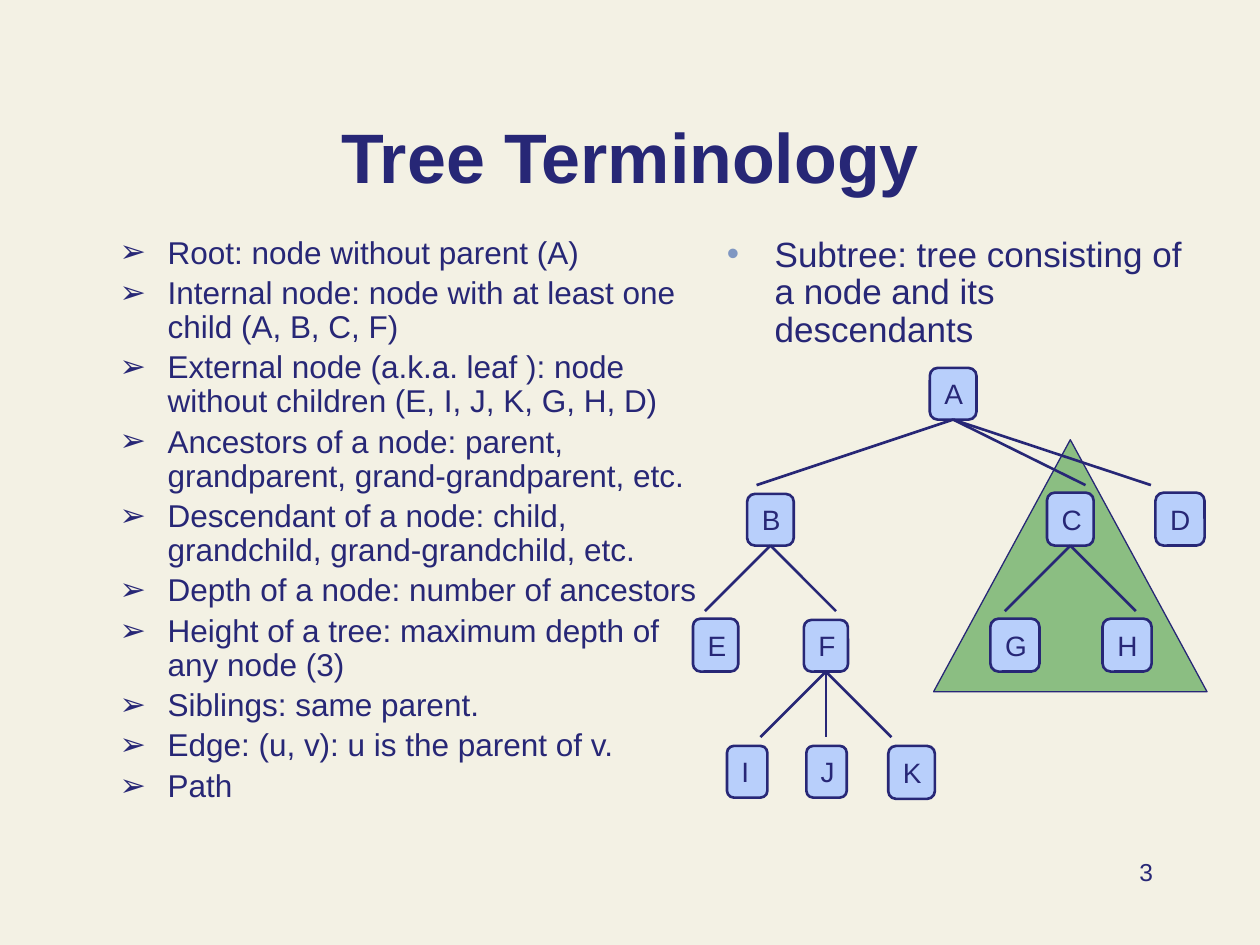
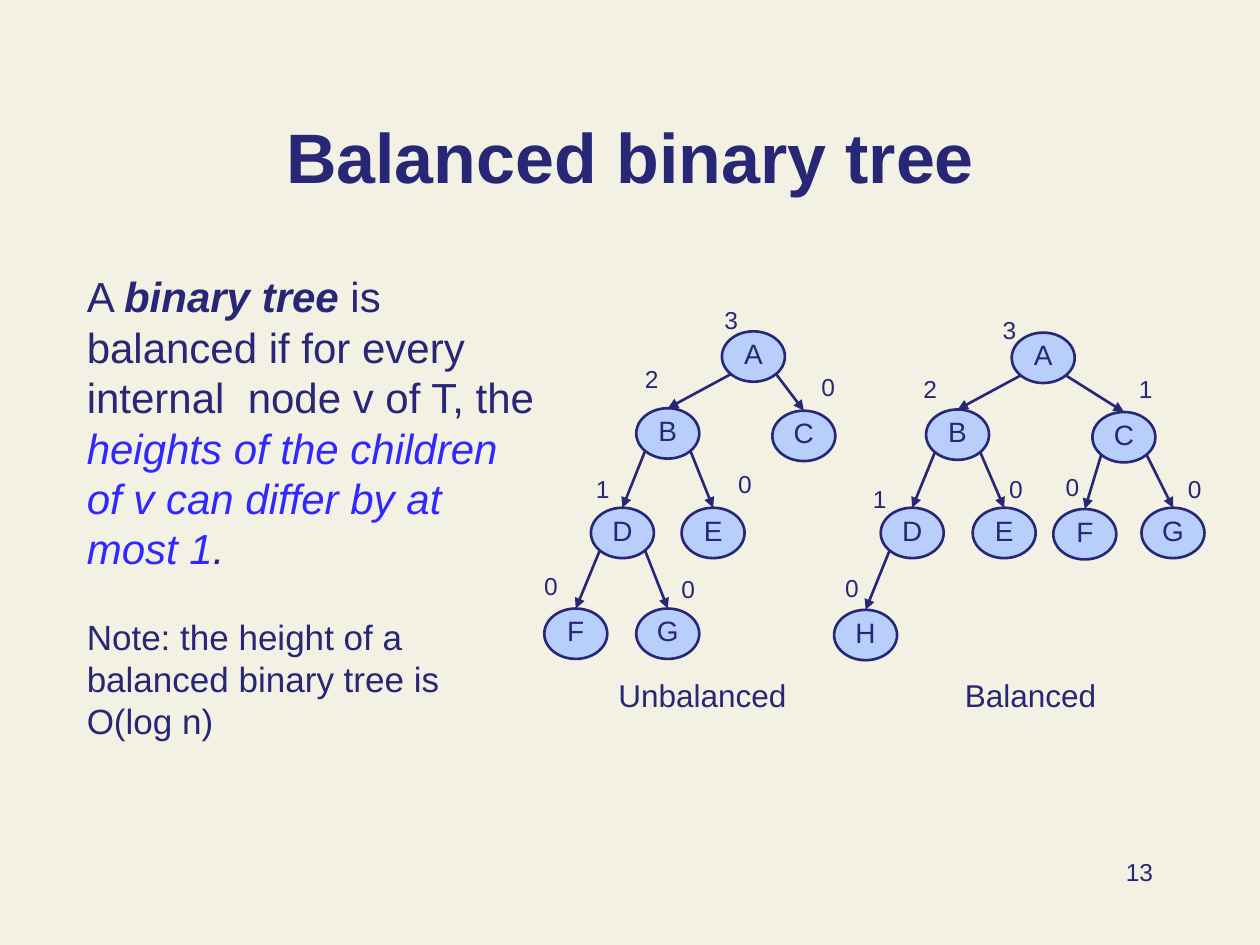
from lxml import etree
from pptx import Presentation
from pptx import util as u
from pptx.dml.color import RGBColor
from pptx.enum import shapes, text
from pptx.oxml import ns

FONT = "Arial"
CREAM, NAVY, SKY, GREEN = "F3F1E4", "272776", "B8CFFB", "8BBE82"
BLUE, BULLET_BLUE = "3028FF", "7F97C2"
INSETS = (0.1, 0.05, 0.1, 0.05)
OVAL_WIDTH, OVAL_HEIGHT = 0.5, 0.4
LEFT, CENTER, RIGHT = text.PP_ALIGN.LEFT, text.PP_ALIGN.CENTER, text.PP_ALIGN.RIGHT
TOP, MIDDLE, BOTTOM = (text.MSO_ANCHOR.TOP, text.MSO_ANCHOR.MIDDLE,
                       text.MSO_ANCHOR.BOTTOM)

TERMS = [
    "Root: node without parent (A)",
    "Internal node: node with at least one child (A, B, C, F)",
    "External node (a.k.a. leaf ): node without children (E, I, J, K, G, H, D)",
    "Ancestors of a node: parent, grandparent, grand-grandparent, etc.",
    "Descendant of a node: child, grandchild, grand-grandchild, etc.",
    "Depth of a node: number of ancestors",
    "Height of a tree: maximum depth of \nany node (3)",
    "Siblings: same parent.",
    "Edge: (u, v): u is the parent of v.",
    "Path",
]

# Node: left, top, width, height
TERM_NODES = {
    "A": (7.38, 2.92, 0.37, 0.41),
    "B": (5.93, 3.92, 0.37, 0.41),
    "C": (8.31, 3.91, 0.37, 0.42),
    "D": (9.17, 3.91, 0.39, 0.42),
    "E": (5.5, 4.91, 0.36, 0.42),
    "F": (6.38, 4.92, 0.35, 0.41),
    "G": (7.86, 4.91, 0.39, 0.42),
    "H": (8.75, 4.91, 0.39, 0.42),
    "I": (5.77, 5.92, 0.32, 0.41),
    "J": (6.4, 5.92, 0.32, 0.41),
    "K": (7.05, 5.92, 0.37, 0.42),
}
# Parent: horizontal reach of each branch
TERM_BRANCHES = {"A": (-1.56, 1.05, 1.57), "B": (-0.52, 0.52),
                 "C": (-0.52, 0.52), "F": (-0.52, 0, 0.52)}
BRANCH_DROP = 0.52

# Node: left, top, height in the tree, left and top of that number
UNBALANCED_NODES = {
    "A": (5.73, 2.63, 3, 5.65, 2.37),
    "B": (5.05, 3.24, 2, 5.02, 2.84),
    "C": (6.13, 3.26, 0, 6.42, 2.9),
    "D": (4.69, 4.03, 1, 4.63, 3.71),
    "E": (5.41, 4.03, 0, 5.76, 3.67),
    "F": (4.32, 4.83, 0, 4.22, 4.48),
    "G": (5.05, 4.83, 0, 5.31, 4.51),
}
BALANCED_NODES = {
    "A": (8.03, 2.64, 3, 7.86, 2.45),
    "B": (7.35, 3.25, 2, 7.23, 2.92),
    "C": (8.67, 3.27, 1, 8.94, 2.92),
    "D": (6.99, 4.03, 1, 6.83, 3.79),
    "E": (7.72, 4.03, 0, 7.91, 3.71),
    "F": (8.36, 4.04, 0, 8.36, 3.7),
    "G": (9.06, 4.03, 0, 9.33, 3.71),
    "H": (6.62, 4.84, 0, 6.61, 4.5),
}
# Parent: left child, then right child
UNBALANCED_CHILDREN = {"A": "BC", "B": "DE", "D": "FG"}
BALANCED_CHILDREN = {"A": "BC", "B": "DE", "C": "FG", "D": "H"}


def color(hex_string):
    return RGBColor.from_string(hex_string)


def place(shape, left, top, width, height):
    shape.left, shape.top = u.Inches(left), u.Inches(top)
    shape.width, shape.height = u.Inches(width), u.Inches(height)


def set_frame(shape, anchor=TOP, insets=INSETS):
    frame = shape.text_frame
    frame.word_wrap = True
    frame.auto_size = text.MSO_AUTO_SIZE.NONE
    frame.vertical_anchor = anchor
    (frame.margin_left, frame.margin_top,
     frame.margin_right, frame.margin_bottom) = map(u.Inches, insets)
    return frame


def add_run(paragraph, words, size, fill=NAVY, bold=False, italic=False):
    """Add styled words; a newline becomes a line break."""
    for number, line in enumerate(words.split("\n")):
        if number:
            paragraph.add_line_break()
        run = paragraph.add_run()
        run.text = line
        font = run.font
        font.name, font.size = FONT, u.Pt(size)
        font.bold, font.italic = bold, italic
        font.color.rgb = color(fill)


def add_label(slide, words, size, left, top, width, height, align=LEFT):
    box = slide.shapes.add_textbox(0, 0, 0, 0)
    place(box, left, top, width, height)
    paragraph = set_frame(box).paragraphs[0]
    paragraph.alignment = align
    add_run(paragraph, words, size)


def add_bullet(paragraph, words, size, character, bullet_color, space_before=0):
    paragraph.line_spacing = 0.9
    paragraph.space_before = u.Pt(space_before)
    properties = paragraph._p.get_or_add_pPr()
    properties.set("marL", str(u.Inches(0.38)))
    properties.set("indent", str(-u.Inches(0.38)))
    bullet_fill = etree.SubElement(properties, ns.qn("a:buClr"))
    etree.SubElement(bullet_fill, ns.qn("a:srgbClr"), val=bullet_color)
    etree.SubElement(properties, ns.qn("a:buFont"), typeface=FONT)
    etree.SubElement(properties, ns.qn("a:buChar"), char=character)
    add_run(paragraph, words, size)


def add_solid(slide, kind, left, top, width, height, fill, line_width):
    shape = slide.shapes.add_shape(kind, 0, 0, 0, 0)
    place(shape, left, top, width, height)
    shape.shadow.inherit = False
    shape.fill.solid()
    shape.fill.fore_color.rgb = color(fill)
    shape.line.color.rgb = color(NAVY)
    shape.line.width = u.Pt(line_width)
    return shape


def add_node(slide, kind, name, position, align, insets):
    node = add_solid(slide, kind, *position, SKY, 1.5)
    paragraph = set_frame(node, MIDDLE, insets).paragraphs[0]
    paragraph.alignment = align
    add_run(paragraph, name, 16)
    return node


def add_line(slide, start_x, start_y, end_x, end_y, arrow=False):
    line = slide.shapes.add_connector(
        shapes.MSO_CONNECTOR.STRAIGHT,
        *map(u.Inches, (start_x, start_y, end_x, end_y)))
    line.line.color.rgb = color(NAVY)
    line.line.width = u.Pt(1.5)
    if arrow:
        etree.SubElement(line.line._get_or_add_ln(), ns.qn("a:tailEnd"),
                         type="triangle")
    etree.SubElement(line._element.spPr, ns.qn("a:effectLst"))
    return line


def add_page(presentation, layout_number, title, page_number):
    """Add a slide with the shared title style and page number."""
    slide = presentation.slides.add_slide(presentation.slide_layouts[layout_number])
    place(slide.shapes.title, 0.75, 0.54, 8.5, 1.08)
    paragraph = set_frame(slide.shapes.title, BOTTOM).paragraphs[0]
    paragraph.alignment = CENTER
    add_run(paragraph, title, 40, bold=True)
    add_label(slide, page_number, 14, 7.17, 6.75, 2.08, 0.5, RIGHT)
    return slide


def add_term_tree(slide):
    nodes = {name: add_node(slide, shapes.MSO_SHAPE.ROUNDED_RECTANGLE, name,
                            position, LEFT, INSETS)
             for name, position in TERM_NODES.items()}
    for parent, reaches in TERM_BRANCHES.items():
        left, top, width, height = TERM_NODES[parent]
        x, y = left + width / 2, top + height
        for reach in reaches:
            branch = add_line(slide, x, y, x + reach, y + BRANCH_DROP)
            branch.begin_connect(nodes[parent], 2)


def add_height_tree(slide, positions, children):
    """Draw a tree of ovals, each with its height beside it."""
    nodes = {}
    for name, (left, top, height, label_left, label_top) in positions.items():
        nodes[name] = add_node(slide, shapes.MSO_SHAPE.OVAL, name,
                               (left, top, OVAL_WIDTH, OVAL_HEIGHT),
                               CENTER, (0, 0, 0, 0.05))
        add_label(slide, str(height), 14, label_left, label_top, 0.21, 0.34)
    for parent, names in children.items():
        left, top = positions[parent][:2]
        for side, child in zip((-1, 1), names):
            child_left, child_top = positions[child][:2]
            arrow = add_line(slide, left + OVAL_WIDTH / 2 + side * 0.18, top + 0.34,
                             child_left + OVAL_WIDTH / 2, child_top, arrow=True)
            arrow.end_connect(nodes[child], 0)


def build_terminology(presentation):
    slide = add_page(presentation, 1, "Tree Terminology", "3")
    body = slide.placeholders[1]
    place(body, 0.85, 1.83, 4.98, 5)
    frame = set_frame(body)
    for number, term in enumerate(TERMS):
        paragraph = frame.add_paragraph() if number else frame.paragraphs[0]
        add_bullet(paragraph, term, 18, "➢", NAVY, 3.6 if number else 0)

    subtree = slide.shapes.add_textbox(0, 0, 0, 0)
    place(subtree, 5.67, 1.83, 3.83, 1.08)
    add_bullet(set_frame(subtree).paragraphs[0],
               "Subtree: tree consisting of a node and its descendants",
               20, "•", BULLET_BLUE)
    add_solid(slide, shapes.MSO_SHAPE.ISOSCELES_TRIANGLE,
              7.41, 3.49, 2.17, 2, GREEN, 0.75)
    add_term_tree(slide)


def build_balanced(presentation):
    slide = add_page(presentation, 5, "Balanced binary tree", "13")
    definition = slide.shapes.add_textbox(0, 0, 0, 0)
    place(definition, 0.59, 2.1, 3.78, 4.61)
    frame = set_frame(definition)
    paragraph = frame.paragraphs[0]
    add_run(paragraph, "A ", 24)
    add_run(paragraph, "binary tree", 24, bold=True, italic=True)
    add_run(paragraph, " is balanced if for every internal  node v of T, the ", 24)
    add_run(paragraph, "heights of the children of v can differ by at most 1", 24,
            BLUE, italic=True)
    add_run(paragraph, ".", 24, italic=True)
    note = frame.add_paragraph()
    note.space_before = u.Pt(24)
    add_run(note, "Note: the height of a balanced binary tree is \nO(log n)", 20)

    add_height_tree(slide, UNBALANCED_NODES, UNBALANCED_CHILDREN)
    add_height_tree(slide, BALANCED_NODES, BALANCED_CHILDREN)
    add_label(slide, "Unbalanced", 18, 4.81, 5.32, 1.55, 0.4)
    add_label(slide, "Balanced", 18, 7.56, 5.32, 1.25, 0.4)


def main():
    presentation = Presentation()
    presentation.slide_width, presentation.slide_height = u.Inches(10), u.Inches(7.5)
    background = presentation.slide_master.background.fill
    background.solid()
    background.fore_color.rgb = color(CREAM)
    build_terminology(presentation)
    build_balanced(presentation)
    presentation.save("out.pptx")


if __name__ == "__main__":
    main()
